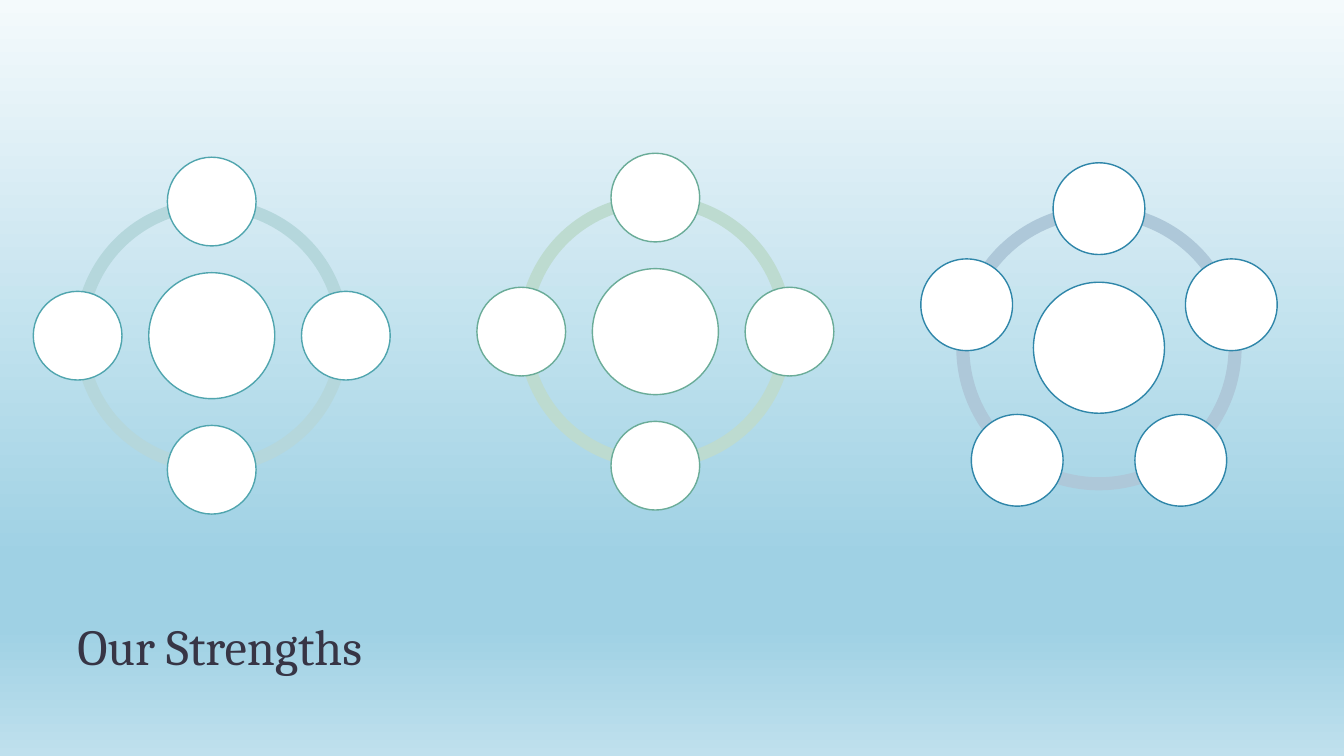
import math
import lxml.etree
import pptx
import pptx.dml.color
import pptx.enum.shapes
import pptx.enum.text
import pptx.oxml.ns
import pptx.util

Inches = pptx.util.Inches
RGBColor = pptx.dml.color.RGBColor
MSO_SHAPE = pptx.enum.shapes.MSO_SHAPE
qn = pptx.oxml.ns.qn

WHITE = RGBColor(0xFF, 0xFF, 0xFF)
INK = RGBColor(0x37, 0x35, 0x45)
PALE_TEAL = RGBColor(0xB5, 0xD7, 0xDC)
TEAL = RGBColor(0x50, 0xA5, 0xAE)
PALE_GREEN = RGBColor(0xBD, 0xDB, 0xD0)
GREEN = RGBColor(0x6A, 0xAC, 0x98)
PALE_BLUE = RGBColor(0xAE, 0xC8, 0xD9)
BLUE = RGBColor(0x2F, 0x86, 0xA9)
SKY_TOP = RGBColor(0xF4, 0xFA, 0xFC)
SKY_DEEP = RGBColor(0x9F, 0xD1, 0xE4)
SKY_BOTTOM = RGBColor(0xBF, 0xE0, 0xED)
SKY_STOPS = [(0, SKY_TOP), (74, SKY_DEEP), (83, SKY_DEEP), (100, SKY_BOTTOM)]

presentation = pptx.Presentation()
presentation.slide_width = Inches(13.33)
presentation.slide_height = Inches(7.5)
slide = presentation.slides.add_slide(presentation.slide_layouts[6])

sky = slide.shapes.add_shape(MSO_SHAPE.RECTANGLE, 0, 0, Inches(13.33), Inches(7.5))
sky.shadow.inherit = False
sky.line.fill.background()
sky.fill.gradient()
sky.fill.gradient_angle = 270
stop_list = sky._element.spPr.find(qn("a:gradFill")).find(qn("a:gsLst"))
for stop in list(stop_list):
    stop_list.remove(stop)
for position, color in SKY_STOPS:
    stop = lxml.etree.SubElement(stop_list, qn("a:gs"), pos=str(position * 1000))
    lxml.etree.SubElement(stop, qn("a:srgbClr"), val=str(color))

title = slide.shapes.add_textbox(Inches(0.67), Inches(5.58), Inches(12), Inches(1.17))
title.text_frame.word_wrap = True
title.text_frame.vertical_anchor = pptx.enum.text.MSO_ANCHOR.BOTTOM
paragraph = title.text_frame.paragraphs[0]
paragraph.line_spacing = 0.8
run = paragraph.add_run()
run.text = "Our Strengths"
run.font.name = "Cambria"
run.font.size = pptx.util.Pt(36)
run.font.color.rgb = INK


def add_round(group, kind, center_x, center_y, diameter, fill_color):
    shape = group.shapes.add_shape(
        kind,
        Inches(center_x - diameter / 2),
        Inches(center_y - diameter / 2),
        Inches(diameter),
        Inches(diameter),
    )
    shape.shadow.inherit = False
    shape.fill.solid()
    shape.fill.fore_color.rgb = fill_color
    shape.line.fill.background()
    return shape


CYCLES = [
    (2.1, 3.33, 4, 2.72, 1.33, 1.25, 0.88, PALE_TEAL, TEAL),
    (6.5, 3.29, 4, 2.72, 1.33, 1.25, 0.88, PALE_GREEN, GREEN),
    (10.9, 3.45, 5, 2.83, 1.38, 1.3, 0.91, PALE_BLUE, BLUE),
]
for x, y, count, ring, orbit, hub, satellite, arc_color, outline_color in CYCLES:
    group = slide.shapes.add_group_shape()
    angles = [(270 + index * 360 / count) % 360 for index in range(count)]
    for start, end in zip(angles, angles[1:] + angles[:1]):
        arc = add_round(group, MSO_SHAPE.BLOCK_ARC, x, y, ring, arc_color)
        arc.adjustments[0] = start * 0.6
        arc.adjustments[1] = end * 0.6
        arc.adjustments[2] = 0.046

    circles = [(x, y, hub)]
    for angle in angles:
        turn = math.radians(angle)
        circles.append((x + orbit * math.cos(turn), y + orbit * math.sin(turn), satellite))
    for circle_x, circle_y, diameter in circles:
        circle = add_round(group, MSO_SHAPE.OVAL, circle_x, circle_y, diameter, WHITE)
        circle.line.color.rgb = outline_color
        circle.line.width = pptx.util.Pt(1)

presentation.save("out.pptx")
